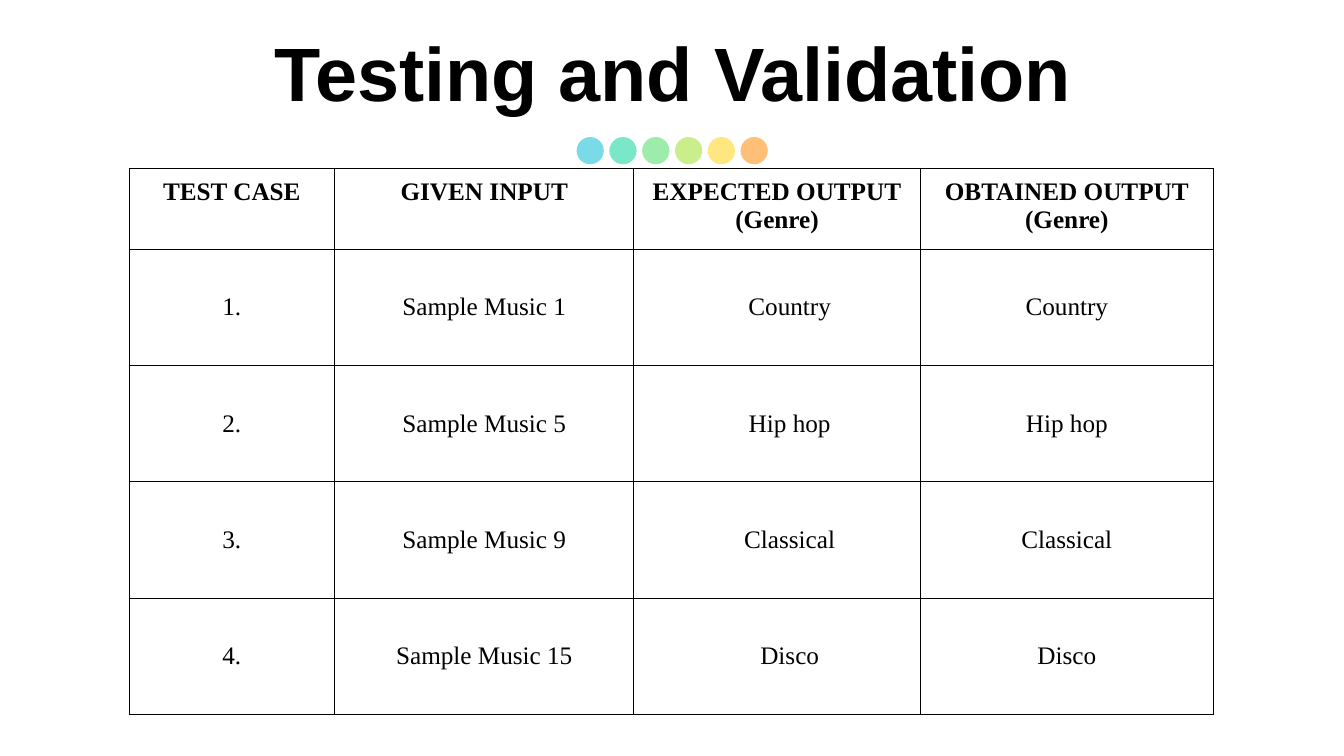
"""Build the Testing and Validation slide."""
from dataclasses import dataclass

from lxml.etree import SubElement
from pptx import Presentation
from pptx.dml.color import RGBColor
from pptx.enum.shapes import MSO_SHAPE
from pptx.enum.text import MSO_ANCHOR, PP_ALIGN
from pptx.oxml.ns import qn
from pptx.slide import Slide
from pptx.table import _Cell
from pptx.text.text import _Paragraph
from pptx.util import Inches, Length, Pt

BLACK = RGBColor(0x00, 0x00, 0x00)
DOT_COLOURS = [
    RGBColor(0x7A, 0xDA, 0xE8),
    RGBColor(0x7A, 0xE8, 0xC8),
    RGBColor(0x9E, 0xEC, 0xAC),
    RGBColor(0xCA, 0xEE, 0x8C),
    RGBColor(0xFE, 0xE6, 0x80),
    RGBColor(0xFE, 0xC0, 0x76),
]
SLIDE_WIDTH = Inches(13.33)
SLIDE_HEIGHT = Inches(7.5)
TITLE_FONT = {"name": "Arial", "size": Pt(54), "bold": True}
HEADER_FONT = {"name": "Times New Roman", "size": Pt(18), "bold": True}
BODY_FONT = HEADER_FONT | {"bold": False}
DOT_PITCH = 2.44
COLUMN_SHARES = [15.3, 22.27, 21.3, 21.83]
HEADER_SHARE = 10.27
ROW_SHARE = 15.4
EXPECTED_COLUMN = 2
HEADERS = [
    "TEST CASE",
    "GIVEN INPUT",
    "EXPECTED OUTPUT\n(Genre)",
    "OBTAINED OUTPUT\n(Genre)",
]


@dataclass(frozen=True)
class Area:
    left: float
    top: float
    width: float
    height: float

    def place(self) -> tuple[Length, Length, Length, Length]:
        return across(self.left), down(self.top), across(self.width), down(self.height)


@dataclass(frozen=True)
class TestCase:
    sample: int
    expected: str
    obtained: str


TEST_CASES = [
    TestCase(1, "Country", "Country"),
    TestCase(5, "Hip hop", "Hip hop"),
    TestCase(9, "Classical", "Classical"),
    TestCase(15, "Disco", "Disco"),
]


def across(percent: float) -> Length:
    return Length(round(SLIDE_WIDTH * percent / 100))


def down(percent: float) -> Length:
    return Length(round(SLIDE_HEIGHT * percent / 100))


def format_paragraph(paragraph: _Paragraph, font: dict) -> None:
    paragraph.alignment = PP_ALIGN.CENTER
    for span in paragraph.runs:
        for name, value in font.items():
            setattr(span.font, name, value)
        span.font.color.rgb = BLACK


def draw_dots(page: Slide) -> None:
    for index, colour in enumerate(DOT_COLOURS):
        area = Area(42.9 + index * DOT_PITCH, 18.13, 2.03, 3.6)
        dot = page.shapes.add_shape(MSO_SHAPE.OVAL, *area.place())
        dot.shadow.inherit = False
        dot.fill.solid()
        dot.fill.fore_color.rgb = colour
        dot.line.fill.background()


def draw_title(page: Slide) -> None:
    box = page.shapes.add_textbox(*Area(2.62, 4.93, 94.95, 10.53).place())
    frame = box.text_frame
    frame.word_wrap = True
    frame.vertical_anchor = MSO_ANCHOR.MIDDLE
    frame.text = "Testing and Validation"
    frame.paragraphs[0].line_spacing = 0.9
    format_paragraph(frame.paragraphs[0], TITLE_FONT)


def draw_borders(cell: _Cell) -> None:
    properties = cell._tc.get_or_add_tcPr()
    for side in ("lnL", "lnR", "lnT", "lnB"):
        border = SubElement(properties, qn(f"a:{side}"), w=str(Pt(0.75)))
        fill = SubElement(border, qn("a:solidFill"))
        SubElement(fill, qn("a:srgbClr"), val=str(BLACK))


def fill_cell(cell: _Cell, text: str, font: dict, anchor: MSO_ANCHOR) -> None:
    cell.text = text
    cell.vertical_anchor = anchor
    for side in ("left", "right", "top", "bottom"):
        setattr(cell, f"margin_{side}", Inches(0.1))
    draw_borders(cell)
    cell.fill.background()
    for paragraph in cell.text_frame.paragraphs:
        format_paragraph(paragraph, font)


def draw_table(page: Slide) -> None:
    row_shares = [HEADER_SHARE] + [ROW_SHARE] * len(TEST_CASES)
    area = Area(9.6, 22.27, sum(COLUMN_SHARES), sum(row_shares))
    table = page.shapes.add_table(
        len(row_shares), len(COLUMN_SHARES), *area.place()
    ).table
    table.first_row = False
    table.horz_banding = False
    for column, share in zip(table.columns, COLUMN_SHARES):
        column.width = across(share)
    for row, share in zip(table.rows, row_shares):
        row.height = down(share)
    for cell, text in zip(table.rows[0].cells, HEADERS):
        fill_cell(cell, text, HEADER_FONT, MSO_ANCHOR.TOP)
    for number, case in enumerate(TEST_CASES, start=1):
        texts = [f"{number}.", f"Sample Music {case.sample}", case.expected, case.obtained]
        for cell, text in zip(table.rows[number].cells, texts):
            fill_cell(cell, text, BODY_FONT, MSO_ANCHOR.MIDDLE)
        expected = table.cell(number, EXPECTED_COLUMN).text_frame.paragraphs[0]
        indents = {"marL": Inches(0.5), "indent": Inches(-0.25)}
        for name, value in indents.items():
            expected._p.get_or_add_pPr().set(name, str(value))


def main() -> None:
    deck = Presentation()
    deck.slide_width = SLIDE_WIDTH
    deck.slide_height = SLIDE_HEIGHT
    page = deck.slides.add_slide(deck.slide_layouts[6])
    draw_dots(page)
    draw_title(page)
    draw_table(page)
    deck.save("out.pptx")


if __name__ == "__main__":
    main()
